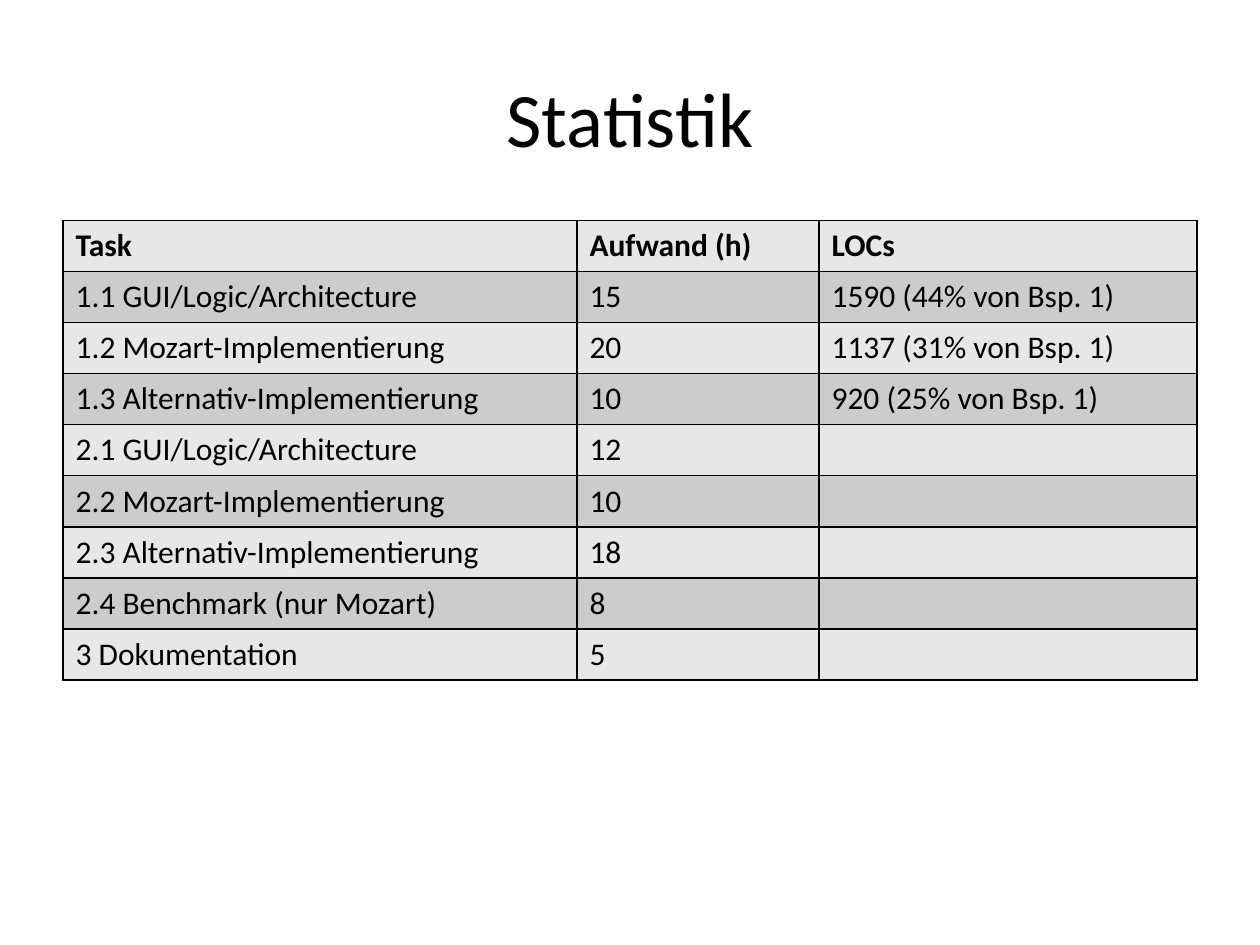
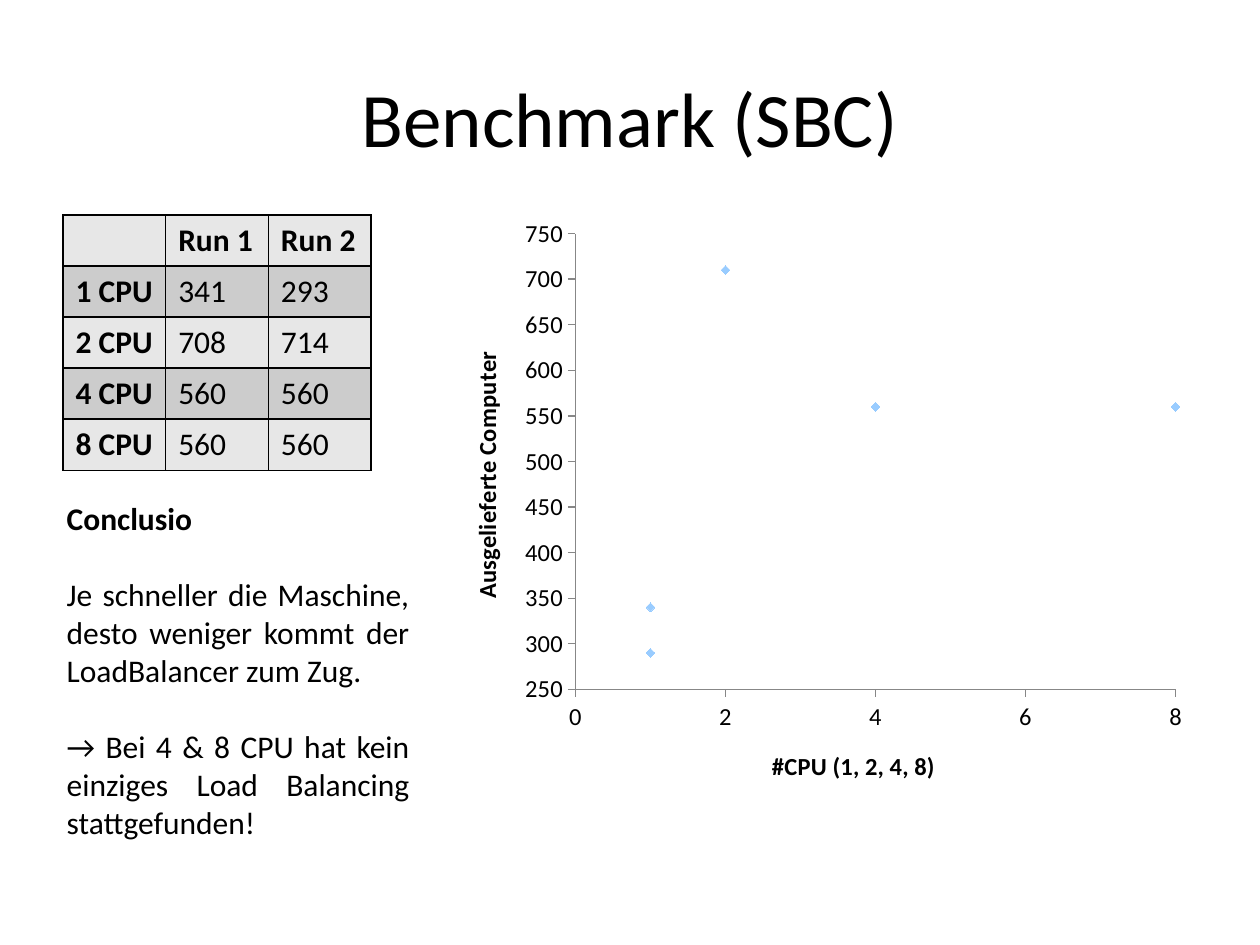
from dataclasses import dataclass

from lxml.etree import Element, SubElement
from pptx import Presentation
from pptx.chart.data import XyChartData
from pptx.dml.color import RGBColor
from pptx.enum.chart import XL_CHART_TYPE as ChartType
from pptx.enum.chart import XL_MARKER_STYLE as MarkerStyle
from pptx.enum.chart import XL_TICK_MARK as TickMark
from pptx.enum.text import MSO_ANCHOR as Anchor
from pptx.enum.text import MSO_AUTO_SIZE as AutoSize
from pptx.enum.text import PP_ALIGN as Align
from pptx.oxml.ns import qn
from pptx.util import Cm, Pt

FONT = "Calibri"
BLACK = "000000"
WHITE = "FFFFFF"
BANDS = ("E7E7E7", "CCCCCC")
AXIS_GREY = "878787"
MARKER_BLUE = "99CCFF"
MARGIN = 1.27
CONTENT_WIDTH = 22.86
ROW_HEIGHT = 1.03
TITLE_ONLY, TITLE_AND_CONTENT = 5, 1


@dataclass(frozen=True)
class Box:
    left: float
    top: float
    width: float
    height: float

    def lengths(self) -> tuple:
        return Cm(self.left), Cm(self.top), Cm(self.width), Cm(self.height)


@dataclass(frozen=True)
class TableSpec:
    top: float
    column_widths: tuple
    rows: tuple
    bold_first_column: bool = False


@dataclass(frozen=True)
class AxisSpec:
    title: str
    minimum: int
    maximum: int
    step: int


TITLE_BOX = Box(MARGIN, 0.76, CONTENT_WIDTH, 3.18)
CONCLUSION_BOX = Box(1.09, 9.93, 7.42, 7.19)
CHART_BOX = Box(8.97, 4.17, 15.16, 12.12)
PLOT_BOX = Box(2.63, 0.54, 12.1, 9.19)

EFFORT_TABLE = TableSpec(4.44, (10.36, 4.88, 7.62), (
    ("Task", "Aufwand (h)", "LOCs"),
    ("1.1 GUI/Logic/Architecture", "15", "1590 (44% von Bsp. 1)"),
    ("1.2 Mozart-Implementierung", "20", "1137 (31% von Bsp. 1)"),
    ("1.3 Alternativ-Implementierung", "10", "920 (25% von Bsp. 1)"),
    ("2.1 GUI/Logic/Architecture", "12", ""),
    ("2.2 Mozart-Implementierung", "10", ""),
    ("2.3 Alternativ-Implementierung", "18", ""),
    ("2.4 Benchmark (nur Mozart)", "8", ""),
    ("3 Dokumentation", "5", ""),
))
RUNS_BY_CPU = {1: (341, 293), 2: (708, 714), 4: (560, 560), 8: (560, 560)}
BENCHMARK_TABLE = TableSpec(4.33, (2.07,) * 3, (
    ("", "Run 1", "Run 2"),
    *((f"{cpus} CPU", *map(str, runs)) for cpus, runs in RUNS_BY_CPU.items()),
), bold_first_column=True)
CPU_AXIS = AxisSpec("#CPU (1, 2, 4, 8)", 0, 8, 2)
COMPUTER_AXIS = AxisSpec("Ausgelieferte Computer", 250, 750, 50)
CONCLUSION = (
    "Conclusio",
    "Je schneller die Maschine, desto weniger kommt der LoadBalancer zum Zug.",
    "→ Bei 4 & 8 CPU hat kein einziges Load Balancing stattgefunden!",
)


def color(hex_code: str) -> RGBColor:
    return RGBColor.from_string(hex_code)


def style_font(font, size: int, bold: bool = False) -> None:
    font.name = FONT
    font.size = Pt(size)
    font.bold = bold
    font.color.rgb = color(BLACK)


def style_runs(paragraph, size: int, bold: bool = False) -> None:
    for run in paragraph.runs:
        style_font(run.font, size, bold)


def place(shape, box: Box) -> None:
    shape.left, shape.top, shape.width, shape.height = box.lengths()


def add_titled_slide(presentation, layout: int, title: str):
    slide = presentation.slides.add_slide(presentation.slide_layouts[layout])
    slide.background.fill.solid()
    slide.background.fill.fore_color.rgb = color(WHITE)
    shape = slide.shapes.title
    place(shape, TITLE_BOX)
    shape.text_frame.text = title
    shape.text_frame.vertical_anchor = Anchor.MIDDLE
    paragraph = shape.text_frame.paragraphs[0]
    paragraph.alignment = Align.CENTER
    style_runs(paragraph, 44)
    return slide


def outline_cell(cell) -> None:
    properties = cell._tc.get_or_add_tcPr()
    for index, side in enumerate(("lnL", "lnR", "lnT", "lnB")):
        line = Element(qn(f"a:{side}"), w=str(Pt(1)))
        fill = SubElement(line, qn("a:solidFill"))
        SubElement(fill, qn("a:srgbClr"), val=BLACK)
        properties.insert(index, line)


def add_banded_table(slide, spec: TableSpec) -> None:
    box = Box(MARGIN, spec.top, sum(spec.column_widths), ROW_HEIGHT * len(spec.rows))
    table = slide.shapes.add_table(
        len(spec.rows), len(spec.column_widths), *box.lengths()).table
    for column, width in zip(table.columns, spec.column_widths):
        column.width = Cm(width)
    for row_index, texts in enumerate(spec.rows):
        table.rows[row_index].height = Cm(ROW_HEIGHT)
        for column_index, text in enumerate(texts):
            cell = table.cell(row_index, column_index)
            cell.text_frame.text = text
            is_header = row_index == 0 or (spec.bold_first_column and column_index == 0)
            style_runs(cell.text_frame.paragraphs[0], 18, is_header)
            cell.fill.solid()
            cell.fill.fore_color.rgb = color(BANDS[row_index % 2])
            outline_cell(cell)


def fill_conclusion(shape) -> None:
    place(shape, CONCLUSION_BOX)
    frame = shape.text_frame
    frame.text = "\n".join(CONCLUSION)
    frame.word_wrap = True
    frame.auto_size = AutoSize.SHAPE_TO_FIT_TEXT
    for index, paragraph in enumerate(frame.paragraphs):
        paragraph.alignment = Align.JUSTIFY
        paragraph.space_before = Pt(22 if index else 0)
        style_runs(paragraph, 18, bold=index == 0)
        properties = paragraph._p.get_or_add_pPr()
        properties.set("marL", "0")
        properties.set("indent", "0")
        SubElement(properties, qn("a:buNone"))


def style_axis(axis, spec: AxisSpec) -> None:
    axis.minimum_scale = spec.minimum
    axis.maximum_scale = spec.maximum
    axis.major_unit = spec.step
    axis.has_major_gridlines = False
    axis.major_tick_mark = TickMark.OUTSIDE
    axis.minor_tick_mark = TickMark.NONE
    axis.format.line.color.rgb = color(AXIS_GREY)
    axis.format.line.width = Pt(0.75)
    axis.tick_labels.number_format = "General"
    axis.tick_labels.number_format_is_linked = False
    style_font(axis.tick_labels.font, 14)
    frame = axis.axis_title.text_frame
    frame.text = spec.title
    style_runs(frame.paragraphs[0], 14, bold=True)


def fix_plot_area(chart) -> None:
    plot_area = chart._chartSpace.chart.plotArea
    for layout in plot_area.findall(qn("c:layout")):
        plot_area.remove(layout)
    layout = Element(qn("c:layout"))
    manual = SubElement(layout, qn("c:manualLayout"))
    SubElement(manual, qn("c:layoutTarget"), val="inner")
    for key in "xy":
        SubElement(manual, qn(f"c:{key}Mode"), val="edge")
    shares = {
        "x": PLOT_BOX.left / CHART_BOX.width,
        "y": PLOT_BOX.top / CHART_BOX.height,
        "w": PLOT_BOX.width / CHART_BOX.width,
        "h": PLOT_BOX.height / CHART_BOX.height,
    }
    for key, share in shares.items():
        SubElement(manual, qn(f"c:{key}"), val=str(share))
    plot_area.insert(0, layout)


def add_benchmark_chart(slide) -> None:
    data = XyChartData()
    points = data.add_series("Series 1")
    for cpus, runs in RUNS_BY_CPU.items():
        for computers in runs:
            points.add_data_point(cpus, round(computers, -1))
    chart = slide.shapes.add_chart(
        ChartType.XY_SCATTER, *CHART_BOX.lengths(), data).chart
    chart.has_title = False
    chart.has_legend = False
    style_font(chart.font, 14)
    style_axis(chart.category_axis, CPU_AXIS)
    style_axis(chart.value_axis, COMPUTER_AXIS)
    fix_plot_area(chart)
    chart.plots[0].vary_by_categories = False
    series = chart.plots[0].series[0]
    series.smooth = False
    series.format.line.fill.background()
    series.marker.style = MarkerStyle.DIAMOND
    series.marker.size = 5
    series.marker.format.fill.solid()
    series.marker.format.fill.fore_color.rgb = color(MARKER_BLUE)
    series.marker.format.line.fill.background()


def build_statistics_slide(presentation) -> None:
    slide = add_titled_slide(presentation, TITLE_ONLY, "Statistik")
    add_banded_table(slide, EFFORT_TABLE)


def build_benchmark_slide(presentation) -> None:
    slide = add_titled_slide(presentation, TITLE_AND_CONTENT, "Benchmark (SBC)")
    fill_conclusion(slide.placeholders[1])
    add_benchmark_chart(slide)
    add_banded_table(slide, BENCHMARK_TABLE)


def main() -> None:
    presentation = Presentation()
    presentation.slide_width = Cm(25.4)
    presentation.slide_height = Cm(19.05)
    build_statistics_slide(presentation)
    build_benchmark_slide(presentation)
    presentation.save("out.pptx")


main()
